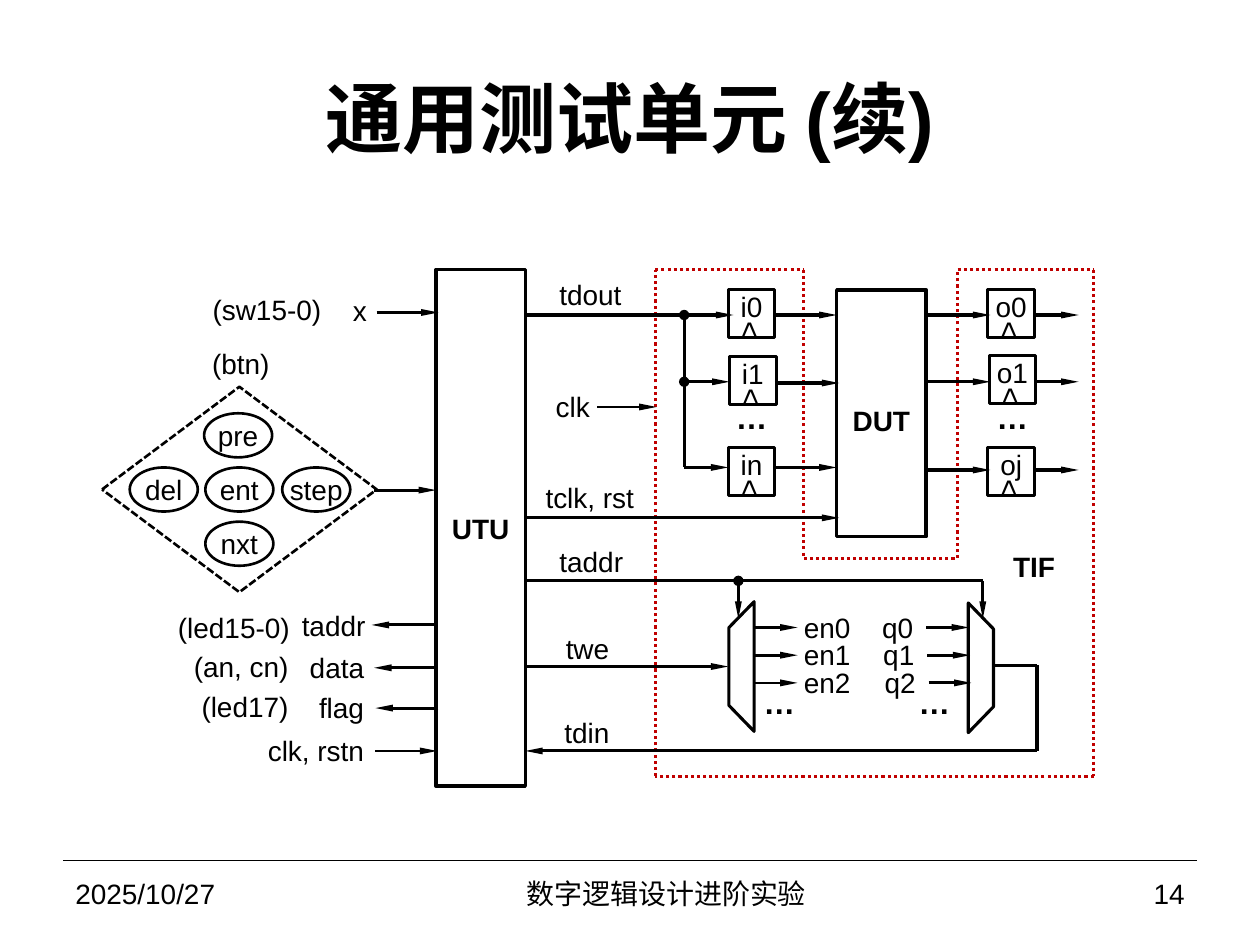
import pptx
import pptx.util
import pptx.dml.color
import pptx.enum.dml
import pptx.enum.shapes
import pptx.enum.text
import pptx.oxml.ns
import lxml.etree

Inches = pptx.util.Inches
BLACK = pptx.dml.color.RGBColor(0, 0, 0)
RED = pptx.dml.color.RGBColor(0xC0, 0, 0)
KIND = pptx.enum.shapes.MSO_SHAPE
DASH = pptx.enum.dml.MSO_LINE
MID = pptx.enum.text.MSO_ANCHOR.MIDDLE
TOP = pptx.enum.text.MSO_ANCHOR.TOP
LEFT = pptx.enum.text.PP_ALIGN.LEFT
RIGHT = pptx.enum.text.PP_ALIGN.RIGHT
MIDST = pptx.enum.text.PP_ALIGN.CENTER
FIT = pptx.enum.text.MSO_AUTO_SIZE.SHAPE_TO_FIT_TEXT

deck = pptx.Presentation()
deck.slide_width, deck.slide_height = Inches(10), Inches(7.5)
slide = deck.slides.add_slide(deck.slide_layouts[6])
shapes = slide.shapes


def put(words, x, y, w, h, align=LEFT, size=16, bold=False, kind=None,
        line=1.75, anchor=MID, pad=(0, 0), wrap=False):
    """Add a text box, or an outlined shape if a kind is given."""
    area = [Inches(v) for v in (x, y, w, h)]
    if kind is None:
        item = shapes.add_textbox(*area)
    else:
        item = shapes.add_shape(kind, *area)
        item.shadow.inherit = False
        item.fill.background()
        item.line.color.rgb = BLACK
        item.line.width = pptx.util.Pt(line)
    frame = item.text_frame
    frame.word_wrap = wrap
    frame.vertical_anchor = anchor
    frame.margin_left = frame.margin_right = Inches(pad[0])
    frame.margin_top, frame.margin_bottom = Inches(pad[1]), 0
    if kind is None and not wrap:
        frame.auto_size = FIT
    if words:
        para = frame.paragraphs[0]
        para.alignment = align
        run = para.add_run()
        run.text = words
        run.font.name = "Arial"
        run.font.size = pptx.util.Pt(size)
        run.font.bold = bold
        run.font.color.rgb = BLACK
    return item


def wire(x1, y1, x2, y2, tail="triangle", head=None, width=1.75, color=BLACK,
         dash=None):
    """Add a line; head sits at its start and tail at its end."""
    item = shapes.add_connector(pptx.enum.shapes.MSO_CONNECTOR.STRAIGHT,
                                Inches(x1), Inches(y1), Inches(x2), Inches(y2))
    item.line.color.rgb = color
    item.line.width = pptx.util.Pt(width)
    if dash:
        item.line.dash_style = dash
    pen = item.line._get_or_add_ln()
    for tag, end in (("a:headEnd", head), ("a:tailEnd", tail)):
        if end:
            tip = lxml.etree.SubElement(pen, pptx.oxml.ns.qn(tag), type=end)
            if end == "triangle":
                tip.set("w", "sm")
                tip.set("len", "lg")
    lxml.etree.SubElement(item._element.spPr, pptx.oxml.ns.qn("a:effectLst"))


# Title and footer
put("通用测试单元 (续)", 0.5, 0.3, 9, 1.25, MIDST, 44, True, pad=(0.1, 0), wrap=True)
wire(0.5, 6.83, 9.5, 6.83, None, width=0.75)
for words, x, w, align in (("2025/10/27", 0.5, 2.33, LEFT),
                           ("数字逻辑设计进阶实验", 2.83, 4.92, MIDST),
                           ("14", 7.75, 1.75, RIGHT)):
    put(words, x, 6.83, w, 0.52, align, pad=(0.1, 0), wrap=True)

# Dotted outline of the test interface
edge = [(5.2, 2.14), (6.38, 2.14), (6.38, 4.43), (7.6, 4.43), (7.6, 2.14),
        (8.68, 2.14), (8.68, 6.16), (5.2, 6.16), (5.2, 2.14)]
for start, stop in zip(edge, edge[1:]):
    wire(*start, *stop, None, color=RED, dash=DASH.ROUND_DOT)
put("TIF", 8.04, 4.36, 0.34, 0.27, bold=True)

# Button pad
keys = put("", 0.81, 3.07, 2.18, 1.63, kind=KIND.FLOWCHART_DECISION, line=1.5)
keys.line.dash_style = DASH.SQUARE_DOT
keys.line._get_or_add_ln().find(pptx.oxml.ns.qn("a:prstDash")).set("val", "sysDash")
for words, x, y in (("pre", 1.62, 3.28), ("ent", 1.63, 3.71), ("nxt", 1.63, 4.14),
                    ("del", 1.03, 3.71), ("step", 2.24, 3.71)):
    put(words, x, y, 0.54, 0.35, MIDST, kind=KIND.OVAL, line=1.5)

# Main units
put("UTU", 3.46, 2.14, 0.71, 4.1, MIDST, bold=True, kind=KIND.RECTANGLE, line=2)
put("DUT", 6.64, 2.3, 0.71, 1.96, MIDST, bold=True, kind=KIND.RECTANGLE, line=2,
    pad=(0, 0.12))

# Registers with clock marks
for words, x, y in (("i0", 5.78, 2.3), ("i1", 5.79, 2.83), ("in", 5.78, 3.55),
                    ("o0", 7.84, 2.3), ("o1", 7.85, 2.82), ("oj", 7.84, 3.55)):
    put(words, x, y, 0.37, 0.38, MIDST, kind=KIND.RECTANGLE, anchor=TOP)
    mark = put("<", x + 0.11, y + 0.18, 0.15, 0.3, size=18, anchor=TOP)
    mark.rotation = 90
for x, y, h in ((5.84, 3.17, 0.28), (7.91, 3.17, 0.28),
                (6.06, 5.46, 0.23), (7.29, 5.46, 0.23)):
    put("…", x, y, 0.25, h, size=18, bold=True)

# Wires into and out of the registers
wire(4.17, 2.5, 5.82, 2.5)
wire(5.43, 2.5, 5.43, 3.71, None, "oval")
wire(5.43, 3.03, 5.79, 3.03, head="oval")
wire(5.43, 3.71, 5.78, 3.71)
for y, stop in ((2.5, 6.64), (3.04, 6.66), (3.71, 6.64)):
    wire(6.15, y, stop, y)
for y in (2.5, 3.03, 3.73):
    wire(7.36, y, 7.86, y)
    wire(8.22, y, 8.56, y)
wire(4.17, 4.11, 6.66, 4.11)
wire(4.74, 3.23, 5.21, 3.23, width=1.5)

# Decoder and selector
for x, y, turn in ((5.37, 5.19, 90), (7.27, 5.2, 270)):
    put("", x, y, 1.03, 0.2, kind=KIND.FLOWCHART_MANUAL_OPERATION).rotation = turn
for i, y in enumerate((4.98, 5.2, 5.42)):
    step = i * 0.01
    wire(5.98, y, 6.33, y, width=1.5)
    wire(7.35 + step, y, 7.69 + step, y)
    put(f"en{i}", 6.38, y - 0.14, 0.38, 0.27)
    put(f"q{i}", 7 + step, y - 0.14, 0.25, 0.27)

# Address, write and read-back wires
wire(4.17, 4.61, 7.8, 4.61, None)
wire(5.86, 4.61, 5.86, 4.91, head="oval")
wire(7.8, 4.61, 7.8, 4.91)
wire(4.17, 5.29, 5.78, 5.29, width=1.5)
wire(7.88, 5.28, 8.23, 5.28, None)
wire(8.23, 5.28, 8.23, 5.96, None)
wire(8.23, 5.96, 4.17, 5.96)

# Signal names right of the UTU
for words, x, y, w in (("tdout", 4.44, 2.2, 0.5), ("clk", 4.41, 3.09, 0.32),
                       ("tclk, rst", 4.33, 3.81, 0.71), ("taddr", 4.44, 4.32, 0.51),
                       ("twe", 4.49, 5.01, 0.35), ("tdin", 4.48, 5.68, 0.36)):
    put(words, x, y, w, 0.27)

# Signals left of the UTU
for x, y, width in ((2.99, 2.48, 1.75), (2.97, 3.89, 1.75), (2.98, 5.96, 1.5)):
    wire(x, y, x + 0.49, y, width=width)
for x, y in ((2.95, 4.96), (2.97, 5.3), (2.98, 5.62)):
    wire(x + 0.5, y, x, y)
for words, x, y, w in (("x", 2.8, 2.33, 0.11), ("taddr", 2.39, 4.83, 0.51),
                       ("data", 2.45, 5.16, 0.44), ("flag", 2.53, 5.48, 0.36),
                       ("clk, rstn", 2.12, 5.82, 0.77), ("(sw15-0)", 1.68, 2.32, 0.87),
                       ("(btn)", 1.68, 2.75, 0.46), ("(led15-0)", 1.4, 4.84, 0.9),
                       ("(an, cn)", 1.53, 5.15, 0.76), ("(led17)", 1.59, 5.47, 0.7)):
    put(words, x, y, w, 0.27, RIGHT)

deck.save("out.pptx")
